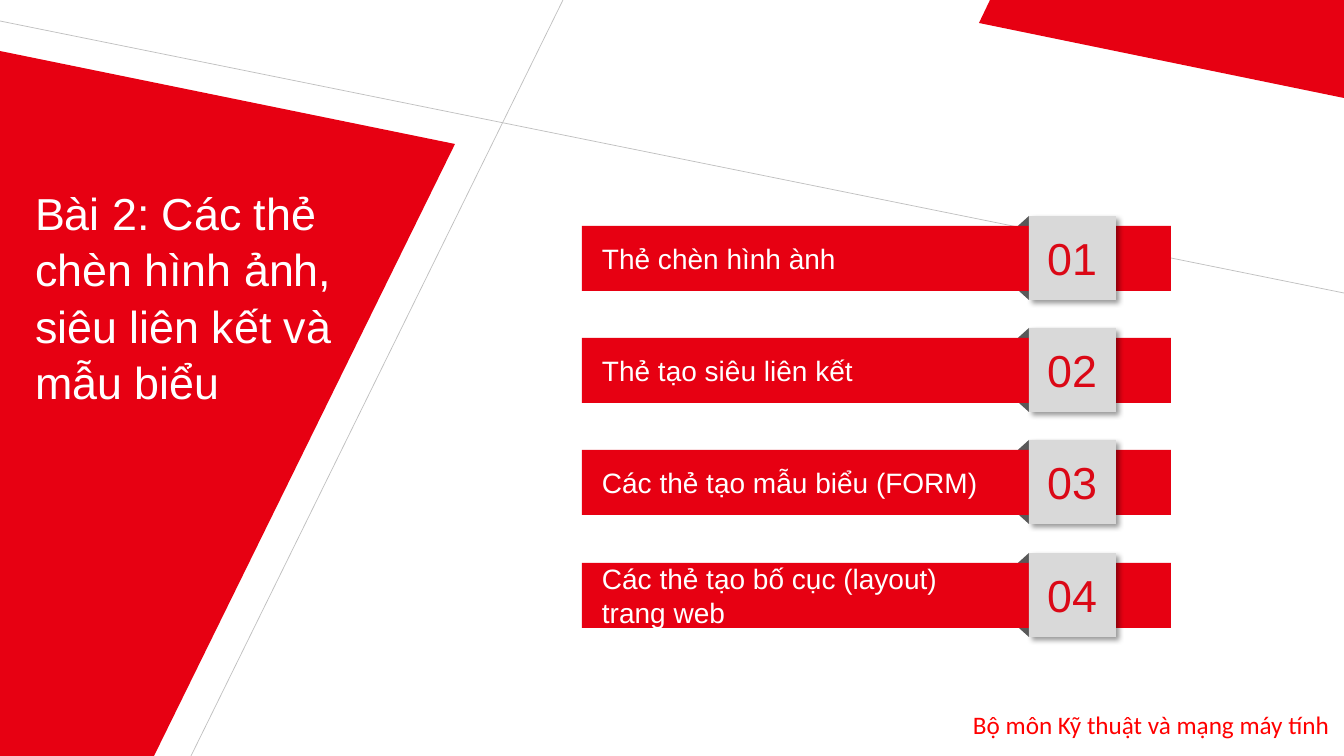
from lxml import etree
from pptx import Presentation
from pptx.dml.color import RGBColor
from pptx.enum.shapes import MSO_CONNECTOR, MSO_SHAPE
from pptx.enum.text import MSO_ANCHOR, MSO_AUTO_SIZE, PP_ALIGN
from pptx.oxml import parse_xml
from pptx.oxml.ns import qn
from pptx.util import Pt

RECTANGLE = MSO_SHAPE.RECTANGLE
STRAIGHT = MSO_CONNECTOR.STRAIGHT
TOP, MIDDLE = MSO_ANCHOR.TOP, MSO_ANCHOR.MIDDLE
LEFT, CENTER = PP_ALIGN.LEFT, PP_ALIGN.CENTER
NO_AUTOFIT = MSO_AUTO_SIZE.NONE

RED = RGBColor(0xE7, 0x00, 0x12)
NUMBER_RED = RGBColor(0xDB, 0x08, 0x16)
FOOTER_RED = RGBColor(0xFF, 0x00, 0x00)
WHITE = RGBColor(0xFF, 0xFF, 0xFF)
BADGE_GRAY = RGBColor(0xD9, 0xD9, 0xD9)
FOLD_GRAY = RGBColor(0x59, 0x59, 0x59)
LINE_GRAY = RGBColor(0xBF, 0xBF, 0xBF)

PX = 12192000 / 1344  # EMU per px

BADGE_SHADOW = (
    '<a:effectLst xmlns:a="http://schemas.openxmlformats.org/drawingml/2006/main">'
    '<a:outerShdw blurRad="50800" dist="38100" dir="2700000" algn="tl" rotWithShape="0">'
    '<a:srgbClr val="000000"><a:alpha val="40000"/></a:srgbClr>'
    '</a:outerShdw></a:effectLst>'
)


def px(*lengths):
    return [round(length * PX) for length in lengths]


def write_text(shape, text, size, color, font="Arial", align=LEFT, anchor=MIDDLE,
               insets=(10, 5, 10, 5), wrap=True, spacing=1.0):
    frame = shape.text_frame
    frame.text = text
    frame.auto_size = NO_AUTOFIT
    frame.word_wrap = wrap
    frame.vertical_anchor = anchor
    (frame.margin_left, frame.margin_top,
     frame.margin_right, frame.margin_bottom) = px(*insets)
    for paragraph in frame.paragraphs:
        paragraph.alignment = align
        paragraph.line_spacing = spacing
        for run in paragraph.runs:
            run.font.name = font
            run.font.size = Pt(size)
            run.font.color.rgb = color


presentation = Presentation()
presentation.slide_width, presentation.slide_height = px(1344, 756)
slide = presentation.slides.add_slide(presentation.slide_layouts[5])
shapes = slide.shapes

# Outlines: red panels, then the folds behind each badge
badge_tops = [216 + row * 337 // 3 for row in range(4)]
polygons = [
    (RED, [(0, 51), (455, 144), (154, 756), (0, 756)]),
    (RED, [(990, 0), (1344, 0), (1344, 98), (979, 23)]),
]
for top in badge_tops:
    for tip, base in ((top, top + 18), (top + 84, top + 66)):
        polygons.append((FOLD_GRAY, [(1029, tip), (1009, base), (1029, base)]))

# Thin crossing lines, below everything else
for ends in ((191, 756, 563, 0), (0, 21, 1344, 293)):
    line = shapes.add_connector(STRAIGHT, *px(*ends))
    line.line.color.rgb = LINE_GRAY
    line.line.width = Pt(0.5)
    etree.SubElement(line._element.spPr, qn("a:effectLst"))

for color, points in polygons:
    builder = shapes.build_freeform(*points[0], scale=PX)
    builder.add_line_segments(points[1:], close=True)
    polygon = builder.convert_to_shape()
    polygon.shadow.inherit = False
    polygon.fill.solid()
    polygon.fill.fore_color.rgb = color
    polygon.line.fill.background()

# Title, raised above the red panel
title = shapes.title
title.left, title.top, title.width, title.height = px(25, 178, 367, 278)
write_text(title, "Bài 2: Các thẻ chèn hình ảnh, siêu liên kết và mẫu biểu",
           size=32, color=WHITE, anchor=TOP, spacing=1.05)
shapes._spTree.append(title._element)

# Numbered topic bars
topics = [
    "Thẻ chèn hình ành",
    "Thẻ tạo siêu liên kết",
    "Các thẻ tạo mẫu biểu (FORM)",
    "Các thẻ tạo bố cục (layout)\ntrang web",
]
for number, (top, topic) in enumerate(zip(badge_tops, topics), start=1):
    bar = shapes.add_shape(RECTANGLE, *px(582, top + 10, 589, 65))
    badge = shapes.add_shape(RECTANGLE, *px(1029, top, 87, 84))
    for shape, color in ((bar, RED), (badge, BADGE_GRAY)):
        shape.shadow.inherit = False
        shape.fill.solid()
        shape.fill.fore_color.rgb = color
        shape.line.fill.background()
    properties = badge._element.spPr
    properties.replace(properties.find(qn("a:effectLst")), parse_xml(BADGE_SHADOW))
    write_text(bar, topic, size=20, color=WHITE, insets=(20, 5, 10, 5))
    write_text(badge, f"{number:02d}", size=32, color=NUMBER_RED,
               align=CENTER, insets=(0, 0, 0, 0))

# Department name
footer = shapes.add_textbox(*px(963, 704, 381, 40))
write_text(footer, "Bộ môn Kỹ thuật và mạng máy tính", size=18, color=FOOTER_RED,
           font="Calibri", anchor=TOP, wrap=False)

presentation.save("out.pptx")
